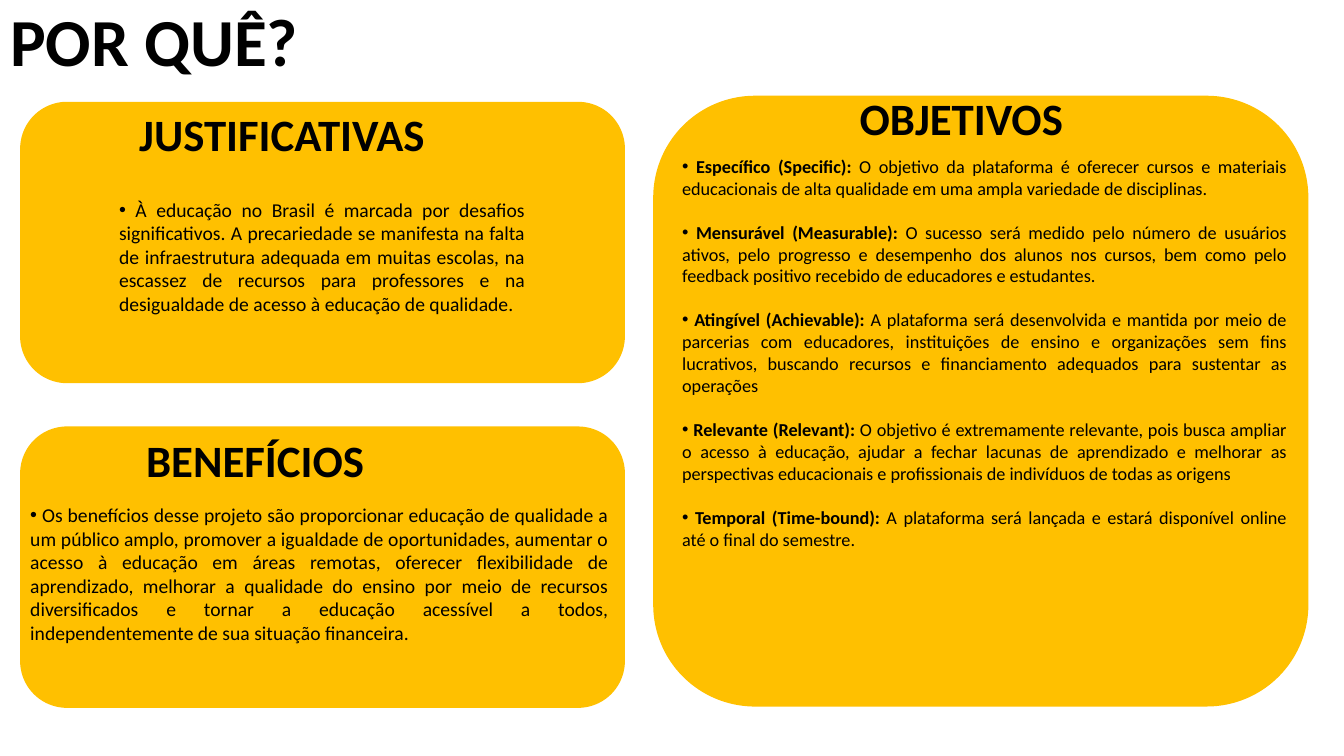
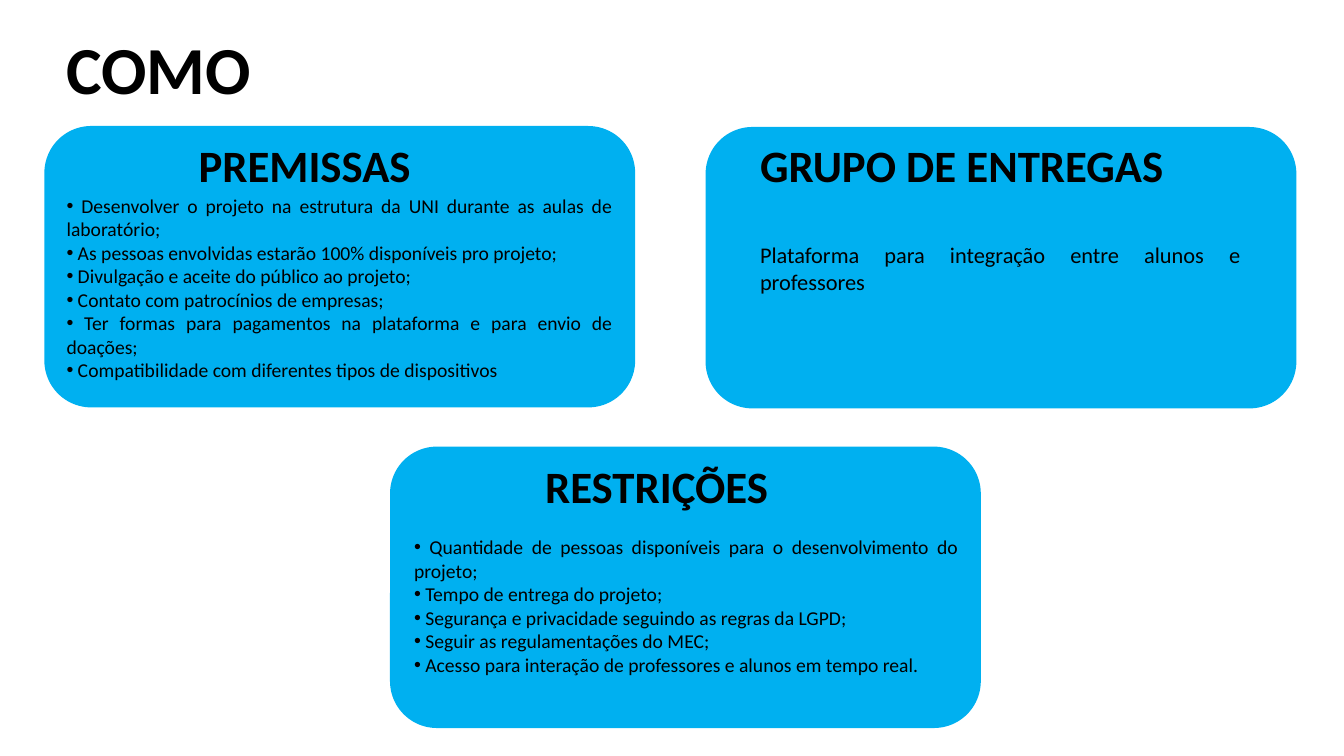
import pptx
import pptx.util
import pptx.dml.color
import pptx.enum.shapes
import pptx.enum.text
import lxml.etree
from pptx.oxml.ns import qn

Pt = pptx.util.Pt
ALIGN = pptx.enum.text.PP_ALIGN

# Shared style
FONT, INK = "Calibri", "000000"
GOLD, BLUE = "FFC000", "00B0F0"
TITLE, HEAD = 48, 32
HEAD_H = 46

# Content: each list item is (bold lead, plain text); boxes are left, top, width, height
WHY = {
    "title": "POR QUÊ?", "spot": (0, -4.3, 278, 65.5), "fill": GOLD,
    "cards": [
        {"box": (14.4, 72.7, 432, 201), "head": "JUSTIFICATIVAS", "at": (92.2, 72.7, 319),
         "area": (77.8, 137.5, 304.6, 108.7), "size": 14, "gap": 0, "dots": True,
         "items": [("", "À educação no Brasil é marcada por desafios significativos. A precariedade "
                        "se manifesta na falta de infraestrutura adequada em muitas escolas, na "
                        "escassez de recursos para professores e na desigualdade de acesso à "
                        "educação de qualidade.")]},
        {"box": (14.4, 304.6, 432, 201), "head": "BENEFÍCIOS", "at": (97.2, 305.3, 319),
         "area": (14.4, 355.7, 427.7, 108.7), "size": 14, "gap": 0, "dots": True,
         "items": [("", "Os benefícios desse projeto são proporcionar educação de qualidade a um "
                        "público amplo, promover a igualdade de oportunidades, aumentar o acesso à "
                        "educação em áreas remotas, oferecer flexibilidade de aprendizado, melhorar "
                        "a qualidade do ensino por meio de recursos diversificados e tornar a "
                        "educação acessível a todos, independentemente de sua situação financeira.")]},
        {"box": (466.6, 68.4, 468, 436.3), "head": "OBJETIVOS", "at": (607, 61.2, 319),
         "area": (480.2, 107.3, 445.7, 322.6), "size": 13, "gap": 15.8, "dots": True,
         "items": [
             ("Específico (Specific): ",
              "O objetivo da plataforma é oferecer cursos e materiais educacionais de alta "
              "qualidade em uma ampla variedade de disciplinas."),
             ("Mensurável (Measurable):",
              " O sucesso será medido pelo número de usuários ativos, pelo progresso e desempenho "
              "dos alunos nos cursos, bem como pelo feedback positivo recebido de educadores e "
              "estudantes."),
             ("Atingível (Achievable): ",
              "A plataforma será desenvolvida e mantida por meio de parcerias com educadores, "
              "instituições de ensino e organizações sem fins lucrativos, buscando recursos e "
              "financiamento adequados para sustentar as operações"),
             ("Relevante (Relevant): ",
              "O objetivo é extremamente relevante, pois busca ampliar o acesso à educação, ajudar "
              "a fechar lacunas de aprendizado e melhorar as perspectivas educacionais e "
              "profissionais de indivíduos de todas as origens"),
             ("Temporal (Time-bound): ",
              "A plataforma será lançada e estará disponível online até o final do semestre.")]},
    ],
}
HOW = {
    "title": "COMO", "spot": (40.3, 15.8, 278, 65.5), "fill": BLUE,
    "cards": [
        {"box": (31.7, 90, 422, 201), "head": "PREMISSAS", "at": (134.6, 95, 319),
         "area": (40.3, 134.6, 404.6, 143.3), "size": 14, "gap": 0, "dots": True,
         "items": [
             ("", "Desenvolver o projeto na estrutura da UNI durante as aulas de laboratório;"),
             ("", "As pessoas envolvidas estarão 100% disponíveis pro projeto;"),
             ("", "Divulgação e aceite do público ao projeto;"),
             ("", "Contato com patrocínios de empresas;"),
             ("", "Ter formas para pagamentos na plataforma e para envio de doações;"),
             ("", "Compatibilidade com diferentes tipos de dispositivos")]},
        {"box": (504, 90.7, 422, 201), "head": "GRUPO DE ENTREGAS", "at": (535.7, 94.5, 407.5),
         "area": (535.7, 168.5, 357.8, 46), "size": 16, "gap": 0, "dots": False,
         "items": [("", "Plataforma para integração entre alunos e professores")]},
        {"box": (278.6, 319, 422, 201), "head": "RESTRIÇÕES", "at": (382.3, 324, 319),
         "area": (288.7, 378.7, 403.2, 126), "size": 14, "gap": 0, "dots": True,
         "items": [
             ("", "Quantidade de pessoas disponíveis para o desenvolvimento do projeto;"),
             ("", "Tempo de entrega do projeto;"),
             ("", "Segurança e privacidade seguindo as regras da LGPD;"),
             ("", "Seguir as regulamentações do MEC;"),
             ("", "Acesso para interação de professores e alunos em tempo real.")]},
    ],
}


def color(code):
    return pptx.dml.color.RGBColor.from_string(code)


def place(shape, box):
    shape.left, shape.top, shape.width, shape.height = [Pt(n) for n in box]


def bullet(para, dots):
    props = para._p.get_or_add_pPr()
    props.set("marL", "0")
    props.set("indent", "0")
    if dots:
        lxml.etree.SubElement(props, qn("a:buFont")).set("typeface", "Arial")
        lxml.etree.SubElement(props, qn("a:buChar")).set("char", "•")
    else:
        lxml.etree.SubElement(props, qn("a:buNone"))


def write(shape, box, items, size, align=ALIGN.LEFT, gap=0, dots=False):
    place(shape, box)
    frame = shape.text_frame
    frame.word_wrap = True
    frame.auto_size = pptx.enum.text.MSO_AUTO_SIZE.NONE
    frame.vertical_anchor = pptx.enum.text.MSO_ANCHOR.TOP
    for i, (lead, text) in enumerate(items):
        para = frame.add_paragraph() if i else frame.paragraphs[0]
        para.alignment = align
        para.line_spacing = 1.0
        para.space_before = Pt(0)
        para.space_after = Pt(gap)
        bullet(para, dots)
        # A thin lead-in keeps the bullet off the first word
        parts = [part for part in ((lead, True), (text, False)) if part[0]]
        for j, (words, bold) in enumerate(parts):
            run = para.add_run()
            run.text = " " + words if dots and j == 0 else words
            run.font.name, run.font.size = FONT, Pt(size)
            run.font.bold = bold
            run.font.color.rgb = color(INK)


def panel(slide, box, fill):
    shape = slide.shapes.add_shape(pptx.enum.shapes.MSO_SHAPE.ROUNDED_RECTANGLE,
                                   *[Pt(n) for n in box])
    shape.shadow.inherit = False
    shape.fill.solid()
    shape.fill.fore_color.rgb = color(fill)
    shape.line.fill.background()
    # Panels lie behind the text placeholders
    slide.shapes._spTree.insert(2, shape._element)


def build(deck, page):
    # The comparison layout holds a title and two heading and list pairs
    slide = deck.slides.add_slide(deck.slide_layouts[4])
    write(slide.shapes.title, page["spot"], [(page["title"], "")], TITLE)
    slots = [hold for hold in slide.placeholders if hold.placeholder_format.idx]
    while len(slots) < 2 * len(page["cards"]):
        slots.append(slide.shapes.add_textbox(0, 0, 0, 0))
    for card, head, body in zip(page["cards"], slots[::2], slots[1::2]):
        panel(slide, card["box"], page["fill"])
        write(head, (*card["at"], HEAD_H), [(card["head"], "")], HEAD)
        write(body, card["area"], card["items"], card["size"],
              ALIGN.JUSTIFY, card["gap"], card["dots"])


deck = pptx.Presentation()
deck.slide_width, deck.slide_height = Pt(960), Pt(540)
for page in (WHY, HOW):
    build(deck, page)
deck.save("out.pptx")
